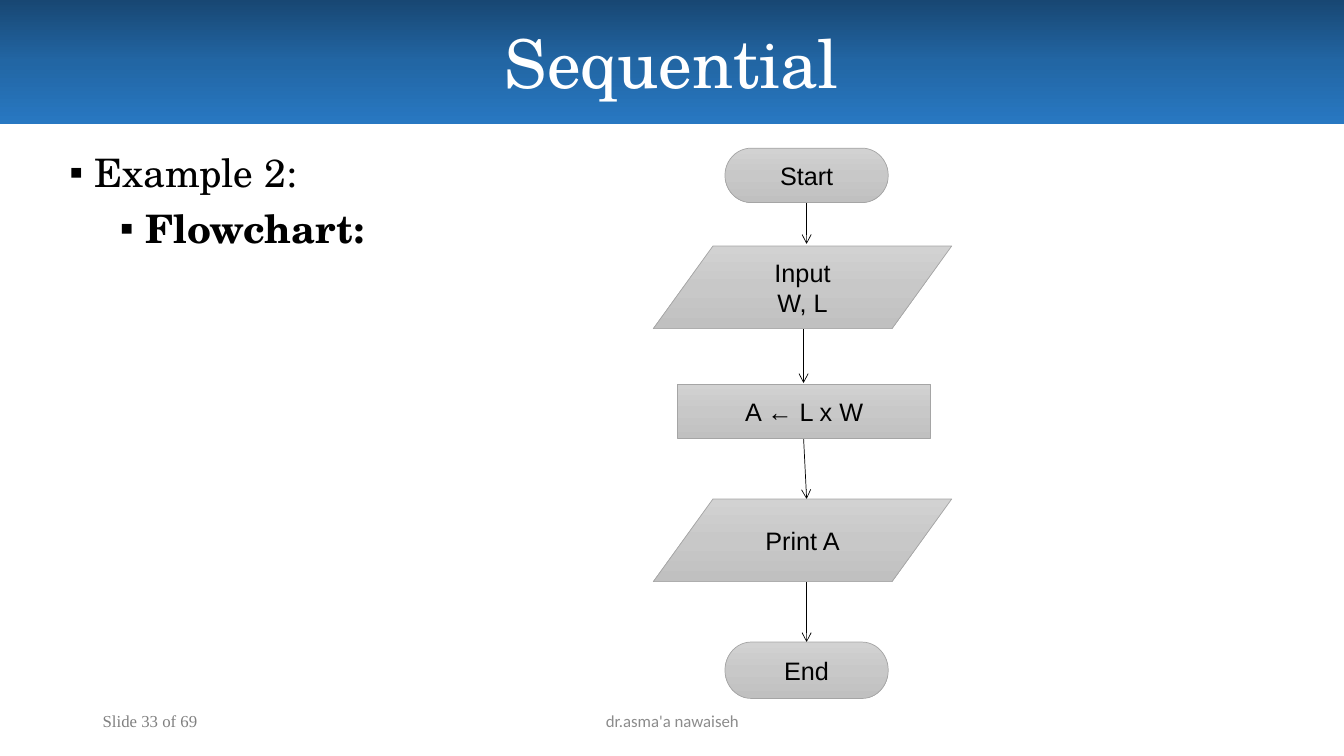
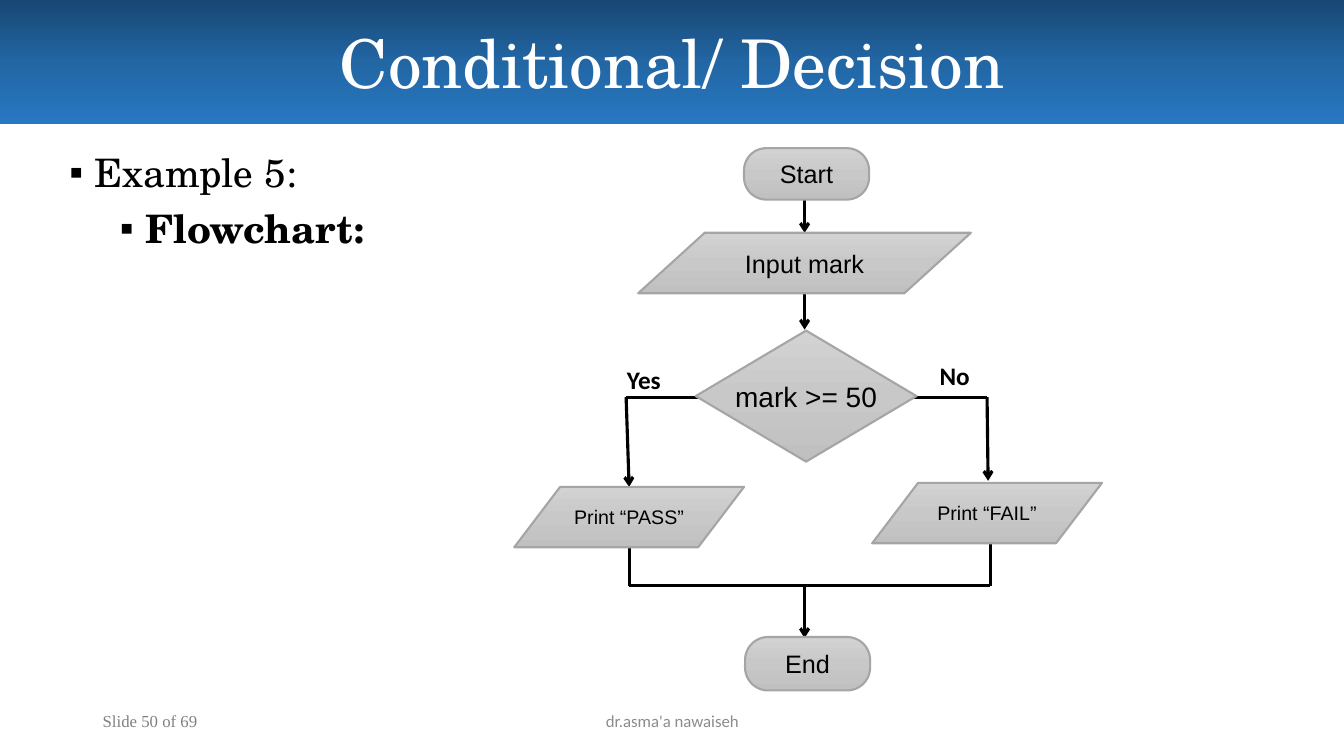
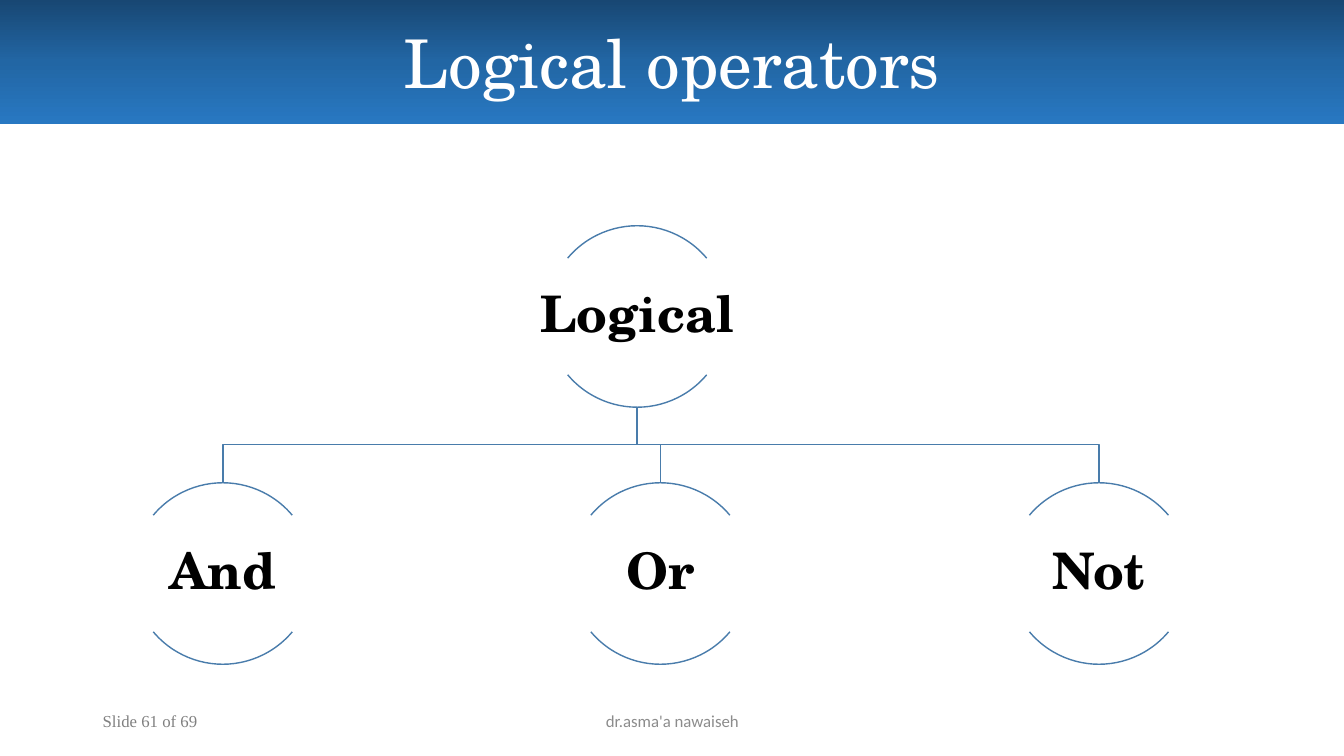
from lxml import etree
from pptx import Presentation
from pptx import util as u
from pptx.dml.color import RGBColor
from pptx.enum import shapes, text
from pptx.oxml.ns import qn

PX = 9144  # 100 px to the inch
WIDTH, HEIGHT, BAND = 1333, 750, 123
TOTAL, AUTHOR = 69, "dr.asma'a nawaiseh"
SERIF, SANS, LABEL, NUMBER = "TeX Gyre Schola", "Arial", "Calibri", "Times New Roman"
BLACK, WHITE = "000000", "FFFFFF"
BLUES = ["184773", "2266A4", "2878C2"]
GREYS = ["D2D2D2", "C8C8C8", "C0C0C0"]
OUTLINE, TREE_LINE = "A5A5A5", "497CAB"

KIND = shapes.MSO_SHAPE
LEFT, CENTER = text.PP_ALIGN.LEFT, text.PP_ALIGN.CENTER
TOP, MIDDLE = text.MSO_ANCHOR.TOP, text.MSO_ANCHOR.MIDDLE
TERMINATOR, DATA = KIND.FLOWCHART_TERMINATOR, KIND.FLOWCHART_DATA
PROCESS, ROUNDED, DIAMOND = KIND.FLOWCHART_PROCESS, KIND.ROUNDED_RECTANGLE, KIND.DIAMOND

# Nodes: kind, (left, top, width, height), lines, text size
# Routes: points, whether the last one carries an arrowhead
AREA_CHART = {
    "outline": 0.5,
    "line": 0.5,
    "nodes": [
        (TERMINATOR, (719, 147, 162, 54), ["Start"], 18),
        (DATA, (648, 244, 296, 82), ["Input", "W, L"], 18),
        (PROCESS, (672, 381, 251, 54), ["A ← L x W"], 18),
        (DATA, (648, 495, 296, 82), ["Print A"], 18),
        (TERMINATOR, (719, 637, 162, 56), ["End"], 18),
    ],
    "routes": [
        ([(800, 201), (800, 242)], True),
        ([(797, 326), (797, 380)], True),
        ([(797, 434), (800, 495)], True),
        ([(800, 577), (800, 637)], True),
    ],
    "labels": [],
}
MARK_CHART = {
    "outline": 1.5,
    "line": 2.25,
    "nodes": [
        (ROUNDED, (738, 147, 124, 51), ["Start"], 18),
        (DATA, (633, 231, 330, 60), ["Input mark"], 18),
        (DIAMOND, (690, 328, 219, 130), ["mark >= 50"], 20),
        (DATA, (510, 483, 228, 60), ["Print “PASS”"], 14),
        (DATA, (865, 479, 228, 60), ["Print “FAIL”"], 14),
        (ROUNDED, (739, 632, 124, 53), ["End"], 18),
    ],
    "routes": [
        ([(798, 195), (798, 231)], True),
        ([(798, 291), (798, 327)], True),
        ([(723, 394), (621, 394), (624, 483)], True),
        ([(901, 394), (979, 394), (980, 477)], True),
        ([(624, 539), (624, 581), (982, 581), (982, 533)], False),
        ([(798, 581), (798, 633)], True),
    ],
    "labels": [("Yes", (612, 357, 54, 40)), ("No", (922, 353, 50, 40))],
}
# Each node: name, centre across
ROOT, LEAVES = ("Logical", 632), [("And", 221), ("Or", 655), ("Not", 1090)]
ROOT_TOP, LEAF_TOP, CIRCLE = 224, 479, 180
ARCS = [(220, 320), (40, 140)]  # degrees, clockwise from the right


def color(hex_string):
    return RGBColor.from_string(hex_string)


def px(*lengths):
    return [u.Emu(length * PX) for length in lengths]


def write(shape, lines, font=SANS, size=18, fill=BLACK, bold=False, align=CENTER,
          anchor=MIDDLE, wrap=True, spacing=None, inset=None):
    frame = shape.text_frame
    frame.word_wrap = wrap
    frame.vertical_anchor = anchor
    if inset is not None:
        frame.margin_left = frame.margin_right = u.Emu(inset * PX)
        frame.margin_top = frame.margin_bottom = u.Emu(inset * PX)
    for index, line in enumerate(lines):
        paragraph = frame.paragraphs[0] if index == 0 else frame.add_paragraph()
        paragraph.alignment = align
        if spacing:
            paragraph.line_spacing = spacing
        run = paragraph.add_run()
        run.text = line
        run.font.name, run.font.size, run.font.bold = font, u.Pt(size), bold
        run.font.color.rgb = color(fill)
    return frame


def add_text(slide, box, lines, **style):
    return write(slide.shapes.add_textbox(*px(*box)), lines, **style)


def dress(shape, gradient=None, outline=None, weight=1):
    """Give the shape its fill and outline, and no shadow."""
    shape.shadow.inherit = False
    if gradient:
        shape.fill.gradient()
        shape.fill.gradient_angle = 270
        stops = shape._element.spPr.find(qn("a:gradFill")).find(qn("a:gsLst"))
        stops.clear()
        for index, value in enumerate(gradient):
            position = 100000 * index // (len(gradient) - 1)
            stop = etree.SubElement(stops, qn("a:gs"), pos=str(position))
            etree.SubElement(stop, qn("a:srgbClr"), val=value)
    else:
        shape.fill.background()
    if outline:
        shape.line.color.rgb = color(outline)
        shape.line.width = u.Pt(weight)
    else:
        shape.line.fill.background()
    return shape


def add_shape(slide, kind, box, **look):
    return dress(slide.shapes.add_shape(kind, *px(*box)), **look)


def add_route(slide, points, arrow, weight):
    """Join the points with straight lines, the last one with an arrowhead if asked."""
    for start, end in zip(points, points[1:]):
        connector = slide.shapes.add_connector(
            shapes.MSO_CONNECTOR.STRAIGHT, *px(*start, *end))
        connector.line.color.rgb = color(BLACK)
        connector.line.width = u.Pt(weight)
        if arrow and end == points[-1]:
            etree.SubElement(connector.line._get_or_add_ln(), qn("a:tailEnd"), type="arrow")
        etree.SubElement(connector._element.spPr, qn("a:effectLst"))


def add_slide(presentation, title, number):
    slide = presentation.slides.add_slide(presentation.slide_layouts[6])
    band = add_shape(slide, KIND.RECTANGLE, (0, 0, WIDTH, BAND), gradient=BLUES)
    write(band, [title], font=SERIF, size=48, fill=WHITE)
    add_text(slide, (92, 695, 300, 40), [f"Slide {number} of {TOTAL}"],
             font=NUMBER, size=12, fill="808080", align=LEFT)
    add_text(slide, (442, 695, 450, 40), [AUTHOR], font=LABEL, size=12, fill="8C8C8C")
    return slide


def add_example(slide, heading):
    frame = add_text(slide, (59, 147, 473, 159), [heading, "Flowchart:"], font=SERIF,
                     size=28, align=LEFT, anchor=TOP, spacing=0.9)
    for level, paragraph in enumerate(frame.paragraphs):
        paragraph.level = level
        properties = paragraph._p.get_or_add_pPr()
        properties.set("marL", str((25 + 50 * level) * PX))
        properties.set("indent", str(-25 * PX))
        if level:
            paragraph.space_before = u.Pt(10)
        etree.SubElement(properties, qn("a:buFont"), typeface=SANS)
        etree.SubElement(properties, qn("a:buChar"), char="▪")
    frame.paragraphs[1].runs[0].font.bold = True


def add_flowchart(slide, chart):
    for points, arrow in chart["routes"]:
        add_route(slide, points, arrow, chart["line"])
    for kind, box, lines, size in chart["nodes"]:
        node = add_shape(slide, kind, box, gradient=GREYS, outline=OUTLINE,
                         weight=chart["outline"])
        if kind == ROUNDED:
            node.adjustments[0] = 0.43
        write(node, lines, size=size, wrap=False)
    for label, box in chart["labels"]:
        add_text(slide, box, [label], font=LABEL, bold=True, align=LEFT, anchor=TOP, wrap=False)


def add_tree_node(slide, name, center, top):
    for angles in ARCS:
        arc = add_shape(slide, KIND.ARC, (center - CIRCLE // 2, top, CIRCLE, CIRCLE),
                        outline=TREE_LINE)
        for index, angle in enumerate(angles):
            arc.adjustments[index] = angle * 0.6  # 60000 units to the degree
    add_text(slide, (center - 180, top + 32, 360, 115), [name], font=SERIF, size=36,
             bold=True, spacing=0.9, inset=3)


def add_tree(slide):
    name, center = ROOT
    bottom = ROOT_TOP + CIRCLE
    middle = (bottom + LEAF_TOP) // 2
    for leaf, across in LEAVES:
        branch = slide.shapes.build_freeform(center, bottom, scale=PX)
        branch.add_line_segments(
            [(center, middle), (across, middle), (across, LEAF_TOP)], close=False)
        dress(branch.convert_to_shape(), outline=TREE_LINE)
    add_tree_node(slide, name, center, ROOT_TOP)
    for leaf, across in LEAVES:
        add_tree_node(slide, leaf, across, LEAF_TOP)


def main():
    presentation = Presentation()
    presentation.slide_width, presentation.slide_height = px(WIDTH, HEIGHT)
    for title, number, heading, chart in [
        ("Sequential", 33, "Example 2:", AREA_CHART),
        ("Conditional/ Decision", 50, "Example 5:", MARK_CHART),
    ]:
        slide = add_slide(presentation, title, number)
        add_example(slide, heading)
        add_flowchart(slide, chart)
    add_tree(add_slide(presentation, "Logical operators", 61))
    presentation.save("out.pptx")


if __name__ == "__main__":
    main()
